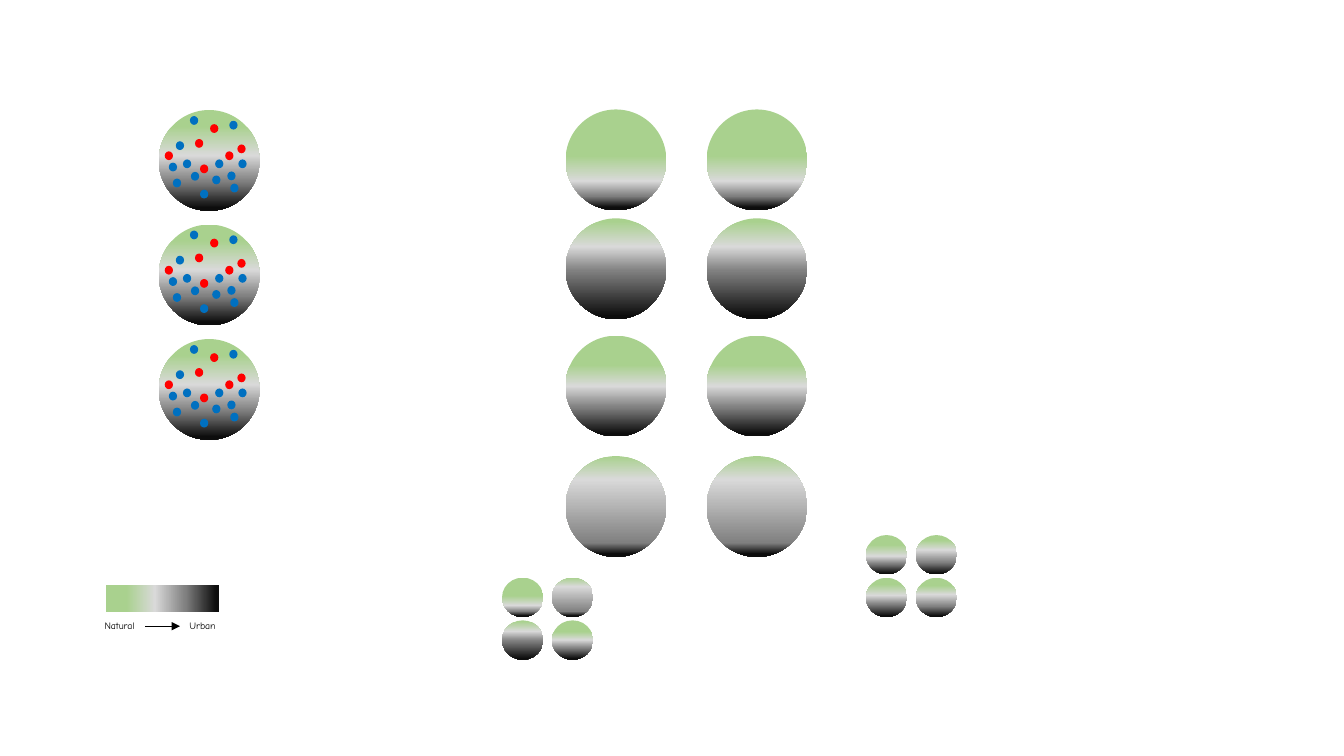
from dataclasses import dataclass
from itertools import product

from lxml import etree
from pptx import Presentation
from pptx import util as u
from pptx.dml.color import RGBColor
from pptx.enum import shapes, text
from pptx.oxml.ns import qn

GREEN = RGBColor(0xA9, 0xD1, 0x8E)
LIGHT_GREY = RGBColor(0xD9, 0xD9, 0xD9)
MID_GREY = RGBColor(0x80, 0x80, 0x80)
NEAR_BLACK = RGBColor(0x0D, 0x0D, 0x0D)
BLACK = RGBColor(0, 0, 0)
BLUE = RGBColor(0x00, 0x70, 0xC0)
RED = RGBColor(0xFF, 0, 0)

LAND_COLOURS = (GREEN, LIGHT_GREY, MID_GREY, NEAR_BLACK)
OVAL = shapes.MSO_SHAPE.OVAL
DOWNWARD = 270
RIGHTWARD = 0

Stops = tuple[int, int, int, int]


@dataclass(frozen=True)
class Box:
    left: float
    top: float
    width: float
    height: float

    def lengths(self) -> tuple[u.Length, ...]:
        return tuple(u.Pt(n) for n in (self.left, self.top, self.width, self.height))


@dataclass(frozen=True)
class Landscape:
    """One kind of landscape: its gradient and its row in the large columns."""
    stops: Stops
    top: float


@dataclass(frozen=True)
class Mosaic:
    """Four small landscapes, listed row by row."""
    left: float
    top: float
    tiles: tuple[Stops, Stops, Stops, Stops]


@dataclass(frozen=True)
class Species:
    colour: RGBColor
    places: tuple[tuple[float, float], ...]


@dataclass(frozen=True)
class Label:
    wording: str
    left: float


NATURAL = Landscape((46, 71, 86, 97), 78.2)
URBAN = Landscape((3, 28, 52, 97), 156)
MIXED = Landscape((29, 50, 71, 97), 239.8)
SUBURBAN = Landscape((0, 23, 86, 97), 325.8)
LANDSCAPES = (NATURAL, URBAN, MIXED, SUBURBAN)
COLUMN_LEFTS = (504.7, 404)
CIRCLE = 72

MOSAICS = (
    Mosaic(358.6, 412.6, (NATURAL.stops, SUBURBAN.stops, URBAN.stops, MIXED.stops)),
    Mosaic(618.5, 382.2, ((25, 54, 73, 97), (13, 38, 70, 97),
                          (17, 45, 68, 97), (20, 43, 73, 97))),
)
TILE_WIDTH, TILE_HEIGHT = 29.5, 28.1
TILE_PITCH_X, TILE_PITCH_Y = 35.6, 30.5

HABITAT_STOPS: Stops = (16, 45, 71, 97)
HABITAT_LEFT, HABITAT_TOP, HABITAT_PITCH = 113.4, 78.6, 81.8
DOT_WIDTH, DOT_HEIGHT = 5.9, 6.3
SPECIES = (
    Species(BLUE, ((10.1, 49), (40.3, 35.3), (12.2, 22.3), (50.4, 7.7), (56.9, 35.3),
                   (29.5, 56.9), (38.2, 46.8), (51.1, 52.6), (22.3, 4.3), (7.2, 37.6),
                   (23, 44.2), (49, 43.9), (17.3, 35.3))),
    Species(RED, ((47.5, 29.5), (29.5, 38.9), (36.7, 10.1), (25.9, 20.7),
                  (4.3, 29.5), (56.2, 24.6))),
)

LEGEND_STOPS: Stops = (18, 43, 70, 97)
LEGEND_BAR = Box(75.9, 418.1, 80.9, 19)
LEGEND_LABELS = (Label("Urban", 128.2), Label("Natural", 67.6))
LABEL_TOP, LABEL_WIDTH, LABEL_HEIGHT = 439.2, 56.9, 15.8
ARROW_START, ARROW_END, ARROW_Y = 103.9, 128.5, 447.3


def add_plain(parent, kind: shapes.MSO_SHAPE, box: Box):
    """Add a shape with neither outline nor shadow."""
    shape = parent.add_shape(kind, *box.lengths())
    shape.shadow.inherit = False
    shape.line.fill.background()
    return shape


def add_gradient(parent, kind: shapes.MSO_SHAPE, box: Box, stops: Stops,
                 angle: int = DOWNWARD) -> None:
    """Add a shape that fades through the land colours at the given percentages."""
    shape = add_plain(parent, kind, box)
    shape.fill.gradient()
    shape.fill.gradient_angle = angle
    stop_list = next(shape.element.iter(qn("a:gsLst")))
    for old_stop in list(stop_list):
        stop_list.remove(old_stop)
    for percent, colour in zip(stops, LAND_COLOURS):
        stop = etree.SubElement(stop_list, qn("a:gs"), pos=str(percent * 1000))
        etree.SubElement(stop, qn("a:srgbClr"), val=str(colour))


def add_habitat(tree, top: float) -> None:
    habitat = tree.add_group_shape().shapes
    add_gradient(habitat, OVAL, Box(HABITAT_LEFT, top, CIRCLE, CIRCLE), HABITAT_STOPS)
    for species in SPECIES:
        for x, y in species.places:
            dot = add_plain(habitat, OVAL,
                            Box(HABITAT_LEFT + x, top + y, DOT_WIDTH, DOT_HEIGHT))
            dot.fill.solid()
            dot.fill.fore_color.rgb = species.colour


def add_mosaic(tree, mosaic: Mosaic) -> None:
    group = tree.add_group_shape().shapes
    for (row, column), stops in zip(product(range(2), repeat=2), mosaic.tiles):
        box = Box(mosaic.left + column * TILE_PITCH_X, mosaic.top + row * TILE_PITCH_Y,
                  TILE_WIDTH, TILE_HEIGHT)
        add_gradient(group, OVAL, box, stops)


def add_label(parent, label: Label) -> None:
    box = Box(label.left, LABEL_TOP, LABEL_WIDTH, LABEL_HEIGHT)
    frame = parent.add_textbox(*box.lengths()).text_frame
    frame.word_wrap = True
    frame.auto_size = text.MSO_AUTO_SIZE.SHAPE_TO_FIT_TEXT
    run = frame.paragraphs[0].add_run()
    run.text = label.wording
    for attribute, value in {"name": "Comic Neue", "size": u.Pt(7)}.items():
        setattr(run.font, attribute, value)
    run.font.color.rgb = BLACK


def add_arrow(parent) -> None:
    arrow = parent.add_connector(shapes.MSO_CONNECTOR.STRAIGHT, u.Pt(ARROW_START),
                                 u.Pt(ARROW_Y), u.Pt(ARROW_END), u.Pt(ARROW_Y))
    arrow.line.width = u.Pt(0.5)
    arrow.line.color.rgb = BLACK
    properties = arrow.element.spPr
    etree.SubElement(properties.find(qn("a:ln")), qn("a:tailEnd"), type="triangle")
    etree.SubElement(properties, qn("a:effectLst"))


def add_legend(tree) -> None:
    legend = tree.add_group_shape().shapes
    add_gradient(legend, shapes.MSO_SHAPE.RECTANGLE, LEGEND_BAR, LEGEND_STOPS, RIGHTWARD)
    for label in LEGEND_LABELS:
        add_label(legend, label)
    add_arrow(legend)


def main() -> None:
    deck = Presentation()
    deck.slide_width, deck.slide_height = u.Pt(960), u.Pt(540)
    tree = deck.slides.add_slide(deck.slide_layouts[6]).shapes
    for row in range(3):
        add_habitat(tree, HABITAT_TOP + row * HABITAT_PITCH)
    for left, landscape in product(COLUMN_LEFTS, LANDSCAPES):
        add_gradient(tree, OVAL, Box(left, landscape.top, CIRCLE, CIRCLE), landscape.stops)
    add_legend(tree)
    for mosaic in MOSAICS:
        add_mosaic(tree, mosaic)
    deck.save("out.pptx")


if __name__ == "__main__":
    main()
